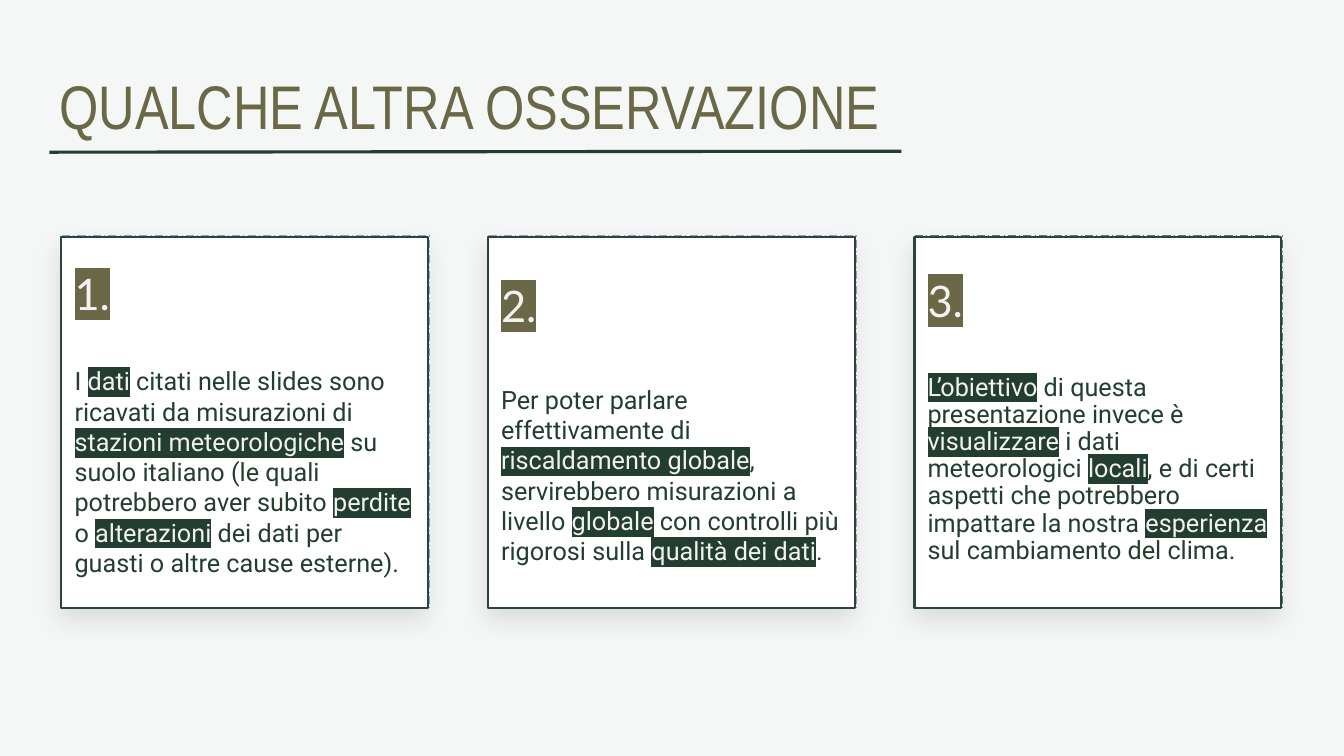
from dataclasses import dataclass

from lxml import etree
from pptx import Presentation
from pptx import util as u
from pptx.dml.color import RGBColor
from pptx.enum import dml, shapes, text
from pptx.oxml import ns


@dataclass(frozen=True)
class Theme:
    """Colours, fonts and type sizes of the slide."""
    background: str = "F4F7F6"
    card: str = "FFFFFF"
    frame: str = "2A4540"
    olive: str = "6A6846"
    green: str = "233E30"
    light: str = "F2F2F2"
    shadow: str = "000000"
    title_font: str = "Arial Narrow"
    number_font: str = "Lato"
    body_font: str = "Roboto"
    title_size: int = 44
    number_size: int = 31
    body_size: int = 18


class SlideBuilder:
    """Draws the elements of one slide in one style."""

    def __init__(self, slide, theme):
        self.slide = slide
        self.theme = theme
        fill = slide.background.fill
        fill.solid()
        fill.fore_color.rgb = RGBColor.from_string(theme.background)

    def run(self, paragraph, words, font, size, color, highlight=None):
        """Add a run, optionally on a highlight colour."""
        run = paragraph.add_run()
        run.text = words
        run.font.name = font
        run.font.size = u.Pt(size)
        run.font.color.rgb = RGBColor.from_string(color)
        if highlight:
            mark = etree.Element(ns.qn("a:highlight"))
            etree.SubElement(mark, ns.qn("a:srgbClr"), val=highlight)
            run.font._element.find(ns.qn("a:solidFill")).addnext(mark)

    def frame_text(self, shape, anchor):
        """Prepare the text frame of a shape."""
        frame = shape.text_frame
        frame.word_wrap = True
        frame.vertical_anchor = anchor
        frame.margin_left = frame.margin_right = u.Inches(0.13)
        frame.margin_top = frame.margin_bottom = u.Inches(0.13)
        return frame

    def title(self, words, left, top, width, height):
        """Add the slide title."""
        shape = self.slide.shapes.add_textbox(*map(u.Inches, (left, top, width, height)))
        frame = self.frame_text(shape, text.MSO_ANCHOR.TOP)
        theme = self.theme
        self.run(frame.paragraphs[0], words, theme.title_font, theme.title_size, theme.olive)

    def rule(self, start, end):
        """Add the line under the title."""
        line = self.slide.shapes.add_connector(
            shapes.MSO_CONNECTOR.STRAIGHT, *map(u.Inches, start + end))
        line.line.color.rgb = RGBColor.from_string(self.theme.green)
        line.line.width = u.Pt(2.25)
        etree.SubElement(line._element.spPr, ns.qn("a:effectLst"))

    def rectangle(self, left, top, width, height, line_color, line_width):
        """Add an unfilled rectangle with an outline."""
        shape = self.slide.shapes.add_shape(
            shapes.MSO_SHAPE.RECTANGLE, *map(u.Inches, (left, top, width, height)))
        shape.shadow.inherit = False
        shape.fill.background()
        shape.line.color.rgb = RGBColor.from_string(line_color)
        shape.line.width = u.Pt(line_width)
        return shape

    def card(self, left, top, edge_color):
        """Add a white card with a dashed edge and a soft shadow."""
        shape = self.rectangle(left, top, 3.65, 3.7, edge_color, 0.75)
        shape.fill.solid()
        shape.fill.fore_color.rgb = RGBColor.from_string(self.theme.card)
        shape.line.dash_style = dml.MSO_LINE.LONG_DASH_DOT
        effects = shape._element.spPr.find(ns.qn("a:effectLst"))
        shadow = etree.SubElement(
            effects, ns.qn("a:outerShdw"), blurRad=str(u.Pt(18)), dist=str(u.Pt(8.2)),
            dir=str(106 * 60000), algn="t", rotWithShape="0")
        color = etree.SubElement(shadow, ns.qn("a:srgbClr"), val=self.theme.shadow)
        etree.SubElement(color, ns.qn("a:alpha"), val="10000")

    def note(self, left, top, number, body, gap, spacing):
        """Add a framed note; words between bars are highlighted."""
        theme = self.theme
        shape = self.rectangle(left, top, 3.64, 3.68, theme.frame, 1.5)
        frame = self.frame_text(shape, text.MSO_ANCHOR.MIDDLE)
        heading, paragraph = frame.paragraphs[0], frame.add_paragraph()
        for item in (heading, paragraph):
            item.alignment = text.PP_ALIGN.LEFT
            item.line_spacing = spacing
        self.run(heading, f"{number}.", theme.number_font, theme.number_size,
                 theme.light, theme.olive)
        paragraph.space_before = u.Pt(gap)
        for index, words in enumerate(body.split("|")):
            colors = (theme.light, theme.green) if index % 2 else (theme.green,)
            if words:
                self.run(paragraph, words, theme.body_font, theme.body_size, *colors)


NOTES = [
    ("73ABC9", 33, 1.0,
     "I |dati| citati nelle slides sono ricavati da misurazioni di "
     "|stazioni meteorologiche| su suolo italiano (le quali potrebbero aver subito "
     "|perdite| o |alterazioni| dei dati per guasti o altre cause esterne)."),
    ("AE90BB", 38, 1.0,
     "Per poter parlare effettivamente di |riscaldamento globale|, servirebbero "
     "misurazioni a livello |globale| con controlli più rigorosi sulla "
     "|qualità dei dati|."),
    ("498375", 34, 0.9,
     "|L’obiettivo| di questa presentazione invece è |visualizzare| i dati "
     "meteorologici |locali|, e di certi aspetti che potrebbero impattare la nostra "
     "|esperienza| sul cambiamento del clima."),
]


def main():
    """Build and save the slide."""
    presentation = Presentation()
    presentation.slide_width = u.Inches(13.33)
    presentation.slide_height = u.Inches(7.5)
    slide = presentation.slides.add_slide(presentation.slide_layouts[6])
    builder = SlideBuilder(slide, Theme())
    builder.title("QUALCHE ALTRA OSSERVAZIONE", 0.46, 0.54, 11.95, 0.88)
    for index, (edge_color, gap, spacing, body) in enumerate(NOTES):
        left = 0.61 + index * 4.23
        builder.card(left, 2.34, edge_color)
        builder.note(left, 2.35, index + 1, body, gap, spacing)
    builder.rule((0.49, 1.51), (8.94, 1.5))
    presentation.save("out.pptx")


if __name__ == "__main__":
    main()
